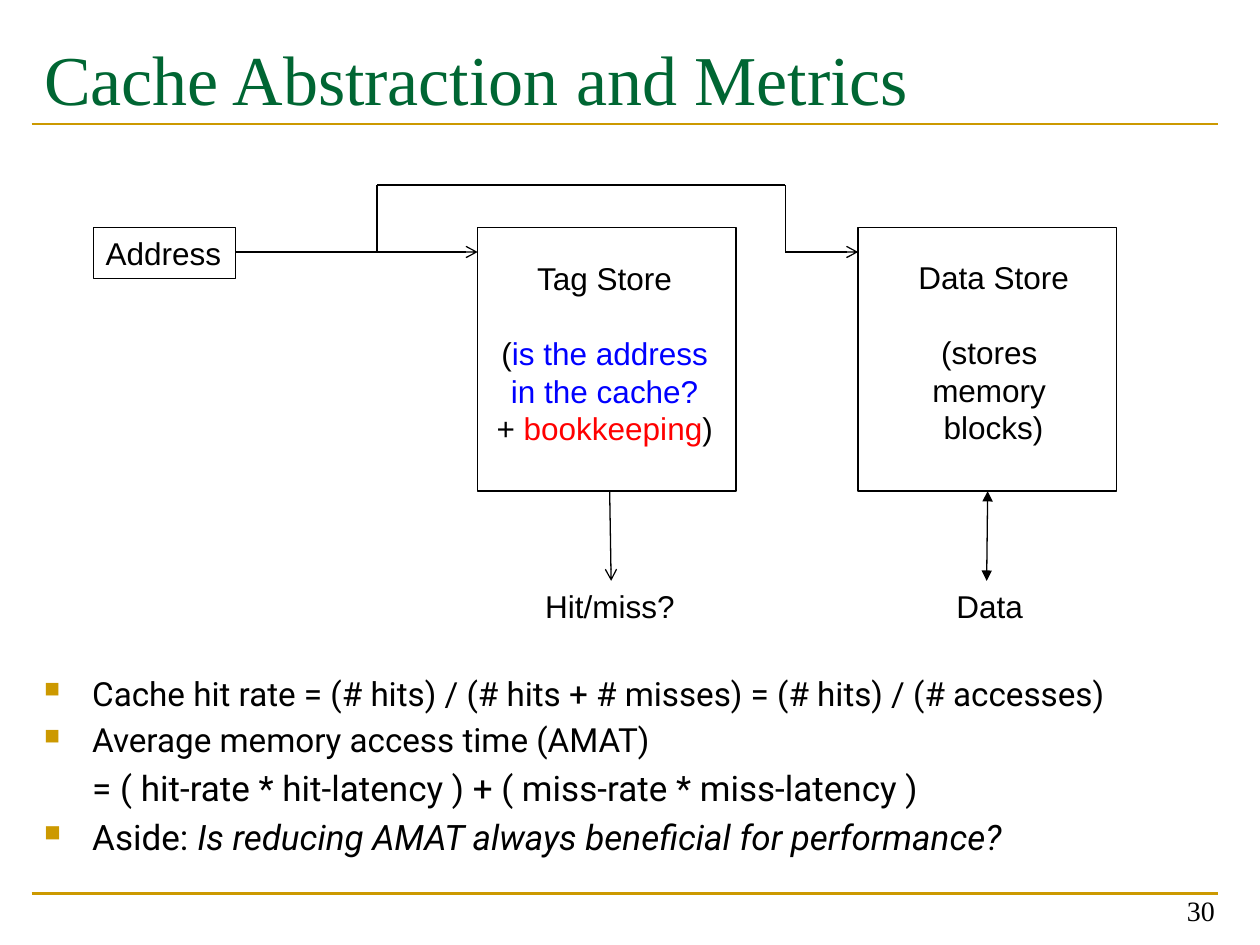
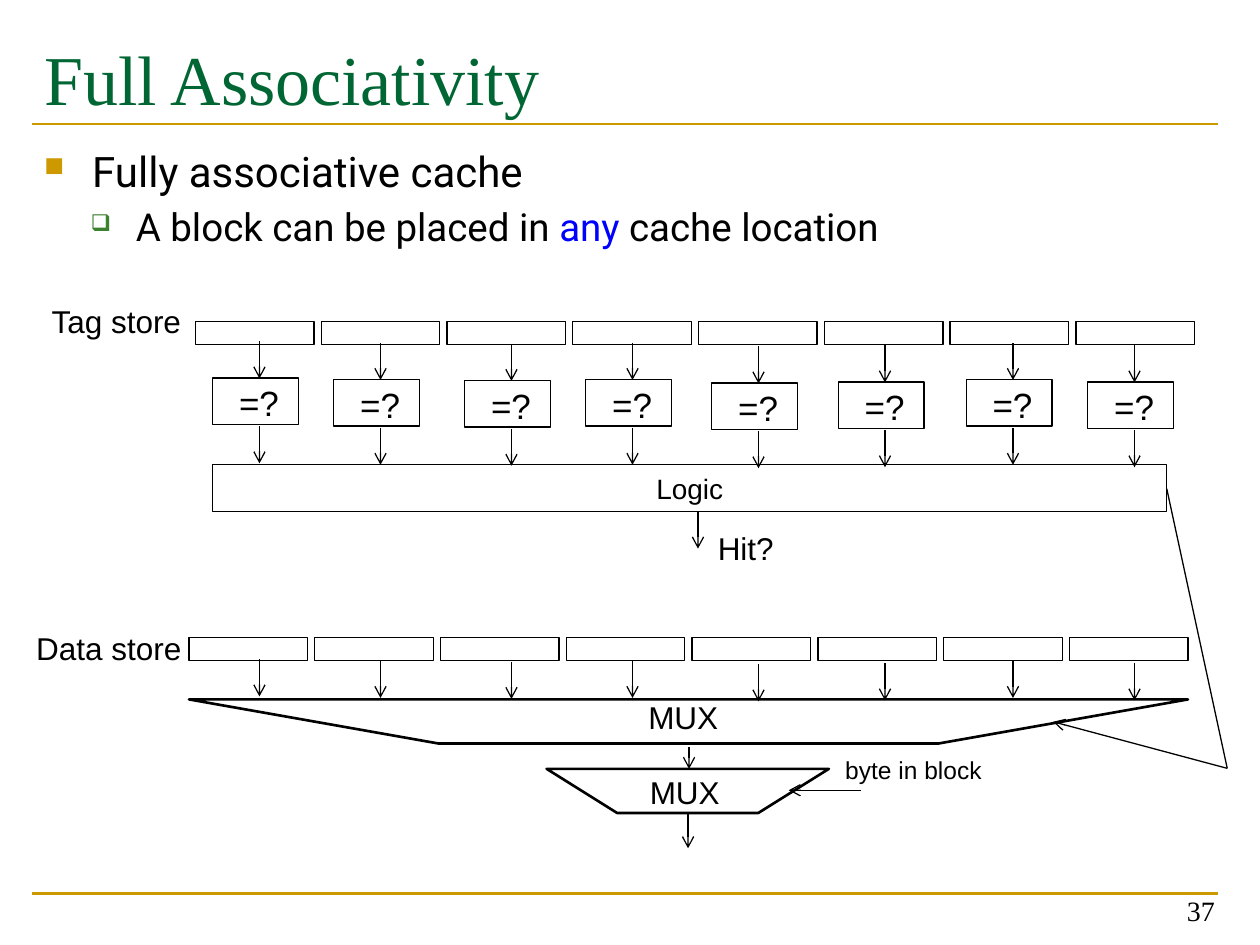
from lxml import etree
from pptx import Presentation
from pptx.dml.color import RGBColor
from pptx.enum.shapes import MSO_CONNECTOR, MSO_SHAPE
from pptx.enum.text import MSO_ANCHOR, MSO_AUTO_SIZE, PP_ALIGN
from pptx.oxml.ns import qn
from pptx.util import Cm, Pt

STRAIGHT = MSO_CONNECTOR.STRAIGHT
RECT = MSO_SHAPE.RECTANGLE
TOP, MIDDLE, BOTTOM = MSO_ANCHOR.TOP, MSO_ANCHOR.MIDDLE, MSO_ANCHOR.BOTTOM
LEFT, CENTER, RIGHT = PP_ALIGN.LEFT, PP_ALIGN.CENTER, PP_ALIGN.RIGHT

BLACK, GREEN, GOLD, LEAF = "000000", "006633", "CC9900", "3B812F"
BLUE, RED = "0000FF", "FF0000"
TITLE = dict(name="Times New Roman", size=Pt(40), color=GREEN)
NUMBER = dict(name="Times New Roman", size=Pt(16), color=BLACK)
LABEL = dict(name="Arial", size=Pt(18), color=BLACK)
BODY = dict(name="Roboto", size=Pt(24), color=BLACK)

# Bullet levels: left margin, first-line indent, character, colour, size in %
SQUARE = (0.97, -0.97, "■", GOLD, 65)
HOLLOW = (1.85, -0.91, "❑", LEAF, 60)
PLAIN = (0.97, 0, None, None, None)

# Centre of each comparator lane, and how far its parts hang below the first
LANES = [(4.75, 0), (7.19, 0.03), (9.83, 0.05), (12.27, 0.03),
         (14.81, 0.1), (17.36, 0.08), (19.94, 0.03), (22.39, 0.08)]
CELL_W, CELL_H = 2.39, 0.46
ARROW_LEN = 0.75


def rgb(value):
    return RGBColor.from_string(value)


def write(p, runs, fmt):
    """Add runs to p; each is a string or (string, format changes)."""
    for run in [runs] if isinstance(runs, str) else runs:
        text, changes = (run, {}) if isinstance(run, str) else run
        r = p.add_run()
        r.text = text
        for key, value in {**fmt, **changes}.items():
            if key == "color":
                r.font.color.rgb = rgb(value)
            else:
                setattr(r.font, key, value)


def style_line(sp, color=BLACK, width=0.75):
    sp.line.color.rgb = rgb(color)
    sp.line.width = Pt(width)


def line(s, x1, y1, x2, y2, head=None, tail=None, color=BLACK, width=0.75):
    sp = s.shapes.add_connector(STRAIGHT, Cm(x1), Cm(y1), Cm(x2), Cm(y2))
    style_line(sp, color, width)
    ln = sp.line._get_or_add_ln()
    for tag, kind in (("a:headEnd", head), ("a:tailEnd", tail)):
        if kind:
            etree.SubElement(ln, qn(tag), type=kind)
    etree.SubElement(sp._element.spPr, qn("a:effectLst"))


def arrow(s, x1, y1, x2, y2):
    line(s, x1, y1, x2, y2, tail="arrow")


def down_arrow(s, x, y, length=ARROW_LEN):
    arrow(s, x, y, x, y + length)


def rect(s, x, y, w, h, text=None, align=LEFT, **changes):
    sp = s.shapes.add_shape(RECT, Cm(x), Cm(y), Cm(w), Cm(h))
    sp.shadow.inherit = False
    sp.fill.background()
    style_line(sp)
    if text:
        tf = sp.text_frame
        tf.word_wrap = False
        tf.vertical_anchor = MIDDLE
        tf.paragraphs[0].alignment = align
        write(tf.paragraphs[0], text, {**LABEL, **changes})


def label(s, x, y, w, h, *lines, align=LEFT, gap=0, anchor=TOP, **changes):
    """Unwrapped text; gap is the space in points below its first line."""
    tf = s.shapes.add_textbox(Cm(x), Cm(y), Cm(w), Cm(h)).text_frame
    tf.word_wrap = False
    tf.vertical_anchor = anchor
    for i, runs in enumerate(lines):
        p = tf.add_paragraph() if i else tf.paragraphs[0]
        p.alignment = align
        if i == 1 and gap:
            p.space_before = Pt(gap)
        write(p, runs, {**LABEL, **changes})


def mux(s, x, y, w, h):
    """Trapezoid whose lower edge is half as long as its upper edge."""
    points = [(x + w, y), (x + 0.75 * w, y + h), (x + w / 4, y + h), (x, y)]
    points = [(Cm(a), Cm(b)) for a, b in points]
    builder = s.shapes.build_freeform(*points[0])
    builder.add_line_segments(points[1:], close=True)
    sp = builder.convert_to_shape()
    sp.shadow.inherit = False
    sp.fill.background()
    style_line(sp, width=1.5)


def set_bullet(p, level):
    margin, indent, char, color, size = level
    pPr = p._p.get_or_add_pPr()
    pPr.set("marL", str(Cm(margin)))
    pPr.set("indent", str(Cm(indent)))
    if char:
        clr = etree.SubElement(pPr, qn("a:buClr"))
        etree.SubElement(clr, qn("a:srgbClr"), val=color)
        etree.SubElement(pPr, qn("a:buSzPct"), val=str(size * 1000))
        etree.SubElement(pPr, qn("a:buChar"), char=char)


def body(s, x, y, w, h, items):
    """Bulleted text; items are (level, size in points, runs)."""
    tf = s.shapes.add_textbox(Cm(x), Cm(y), Cm(w), Cm(h)).text_frame
    tf.word_wrap = True
    for i, (level, size, runs) in enumerate(items):
        p = tf.add_paragraph() if i else tf.paragraphs[0]
        set_bullet(p, level)
        if i:
            p.space_before = Pt(0.2 * size)
        write(p, runs, {**BODY, "size": Pt(size)})


def new_slide(prs, title, number):
    """Title-only slide with its two gold rules and page number."""
    s = prs.slides.add_slide(prs.slide_layouts[5])
    sp = s.shapes.title
    sp.left, sp.top, sp.width, sp.height = Cm(0.64), Cm(0.43), Cm(23.93), Cm(2.97)
    tf = sp.text_frame
    tf.auto_size = MSO_AUTO_SIZE.NONE
    tf.vertical_anchor = TOP
    tf.margin_top = Cm(0.29)
    tf.paragraphs[0].alignment = LEFT
    write(tf.paragraphs[0], title, TITLE)
    for y in (2.5, 18.01):
        line(s, 0.64, y, 24.56, y, color=GOLD, width=1.5)
    label(s, 18.82, 17.55, 5.92, 1.27, number, align=RIGHT, anchor=BOTTOM, **NUMBER)
    return s


def cache_diagram(s, x, y):
    """Address feeding the tag and data stores, with their outputs."""
    store_y, store_w, store_h, wire_y = y + 0.86, 5.21, 5.31, y + 1.35
    tag_x, data_x = x + 7.75, x + 15.42
    branch_x, drop_x = x + 5.72, x + 13.95

    rect(s, x, store_y, 2.87, 1.02, "Address")
    for store_x in (tag_x, data_x):
        rect(s, store_x, store_y, store_w, store_h)
    label(s, x + 7.67, y + 1.37, 5.28, 6.4,
          "Tag Store",
          ["(", ("is the address", {"color": BLUE})],
          [("in the cache?", {"color": BLUE})],
          ["+ ", ("bookkeeping", {"color": RED}), ")"],
          align=CENTER, gap=21)
    label(s, x + 16.36, y + 1.35, 3.58, 4.11,
          "Data Store", "(stores ", "memory ", "blocks)", align=CENTER, gap=21)

    arrow(s, x + 2.87, wire_y, tag_x, wire_y)
    line(s, branch_x, wire_y, branch_x, y)
    line(s, branch_x, y, drop_x, y)
    line(s, drop_x, y, drop_x, wire_y)
    arrow(s, drop_x, wire_y, data_x, wire_y)

    out_y, end_y = store_y + store_h, y + 7.98
    arrow(s, x + 10.41, out_y, x + 10.44, end_y)
    label(s, x + 8.86, end_y, 3.15, 1.02, "Hit/miss?")
    line(s, x + 18.03, out_y, x + 18.01, end_y, head="triangle", tail="triangle")
    label(s, x + 17.15, end_y, 1.88, 1.02, "Data")


def cell_row(s, x, y, w):
    """One store cell per lane, spread evenly over width w."""
    pitch = (w - CELL_W) / (len(LANES) - 1)
    for i in range(len(LANES)):
        rect(s, x + i * pitch, y, CELL_W, CELL_H)


def tag_store(s, x, y, row_w):
    """Tag cells, a comparator under each, and the hit logic."""
    label(s, x + 0.31, y, 3.15, 1.02, "Tag store")
    cell_row(s, x + 3.46, y + 0.51, row_w)
    for lane, drop in LANES:
        cx, top = x + lane, y + drop
        rect(s, cx - 0.94, top + 1.65, 1.73, 0.94)
        label(s, cx - 0.66, top + 1.6, 1.32, 1.12, "=?", size=Pt(20))
        for dy in (0.91, 2.62):
            down_arrow(s, cx, top + dy)
    rect(s, x + 3.81, y + 3.4, 19.23, 0.94, "Logic", align=CENTER, size=Pt(16))
    down_arrow(s, x + 13.59, y + 4.34)
    label(s, x + 13.74, y + 4.57, 1.65, 1.02, "Hit?")


def data_store(s, x, y, row_w):
    """Data cells feeding the block and byte multiplexers."""
    label(s, x, y, 3.48, 1.02, "Data store")
    cell_row(s, x + 3.33, y + 0.3, row_w)
    for lane, drop in LANES:
        down_arrow(s, x + lane, y + 0.74 + drop)
    mux(s, x + 3.33, y + 1.55, row_w, 0.89)
    label(s, x + 12.34, y + 1.4, 2.26, 1.02, "MUX")
    down_arrow(s, x + 13.41, y + 2.51, 0.44)
    mux(s, x + 10.54, y + 2.95, 5.69, 0.89)
    label(s, x + 12.37, y + 2.9, 2.21, 1.02, "MUX")
    label(s, x + 16.31, y + 2.54, 3.73, 0.86, "byte in block", size=Pt(14))
    arrow(s, x + 16.87, y + 3.38, x + 15.42, y + 3.38)
    down_arrow(s, x + 13.39, y + 3.84, 0.71)


def select_wire(s, x, y):
    """Wire from the hit logic to the block multiplexer."""
    line(s, x, y, x + 1.22, y + 5.64)
    arrow(s, x + 1.22, y + 5.64, x - 2.29, y + 4.7)


def metrics_slide(prs):
    s = new_slide(prs, "Cache Abstraction and Metrics", "30")
    body(s, 0.64, 13.44, 23.93, 4.2, [
        (SQUARE, 19, "Cache hit rate = (# hits) / (# hits + # misses) = (# hits) / (# accesses)"),
        (SQUARE, 19, "Average memory access time (AMAT)"),
        (PLAIN, 20, "= ( hit-rate * hit-latency ) + ( miss-rate * miss-latency )"),
        (SQUARE, 20, ["Aside: ", ("Is reducing AMAT always beneficial for performance?",
                                  {"italic": True})]),
    ])
    cache_diagram(s, 1.88, 3.73)


def associativity_slide(prs):
    s = new_slide(prs, "Full Associativity", "37")
    body(s, 0.64, 2.8, 23.93, 2.7, [
        (SQUARE, 24, "Fully associative cache"),
        (HOLLOW, 22, ["A block can be placed in ", ("any", {"color": BLUE}),
                      " cache location"]),
    ])
    tag_store(s, 0.48, 5.97, 20.14)
    data_store(s, 0.48, 12.55, 20.14)
    select_wire(s, 23.52, 9.85)


def main():
    prs = Presentation()
    prs.slide_width, prs.slide_height = Cm(25.4), Cm(19.05)
    metrics_slide(prs)
    associativity_slide(prs)
    prs.save("out.pptx")


if __name__ == "__main__":
    main()
